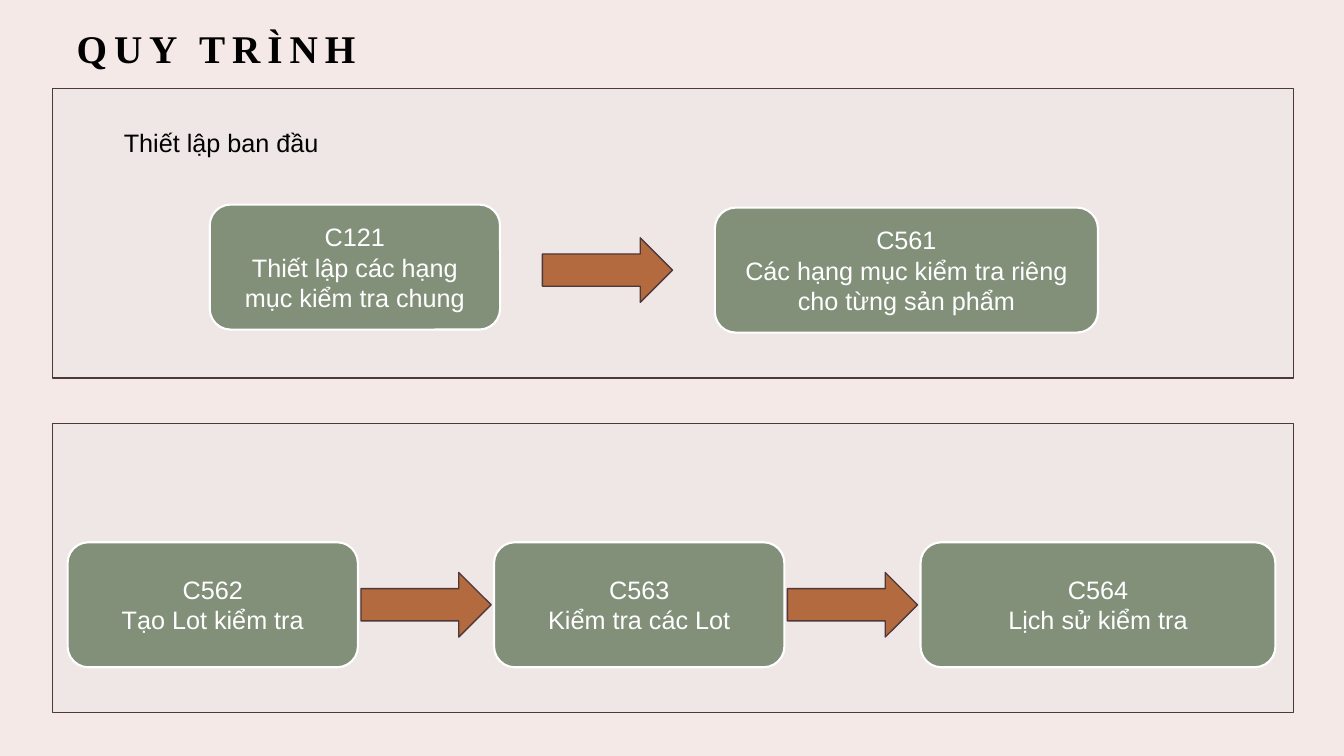
from dataclasses import dataclass

import pptx
import pptx.dml.color
import pptx.enum.shapes
import pptx.enum.text
import pptx.util
from pptx.util import Inches

HUES = {
    "page": "F4E9E6",
    "panel": "EFE6E6",
    "edge": "4E3839",
    "step": "82907A",
    "arrow": "B26A3E",
    "white": "FFFFFF",
    "black": "000000",
}
KINDS = pptx.enum.shapes.MSO_SHAPE
ALIGN = pptx.enum.text.PP_ALIGN
ANCHOR = pptx.enum.text.MSO_ANCHOR
SIZING = pptx.enum.text.MSO_AUTO_SIZE


@dataclass
class Step:
    left: float
    top: float
    width: float
    code: str
    label: str


STEPS = [
    Step(2.08, 2.03, 2.88, "C121", "Thiết lập các hạng mục kiểm tra chung"),
    Step(7.09, 2.06, 3.8, "C561", "Các hạng mục kiểm tra riêng cho từng sản phẩm"),
    Step(0.67, 5.38, 2.88, "C562", "Tạo Lot kiểm tra"),
    Step(4.9, 5.38, 2.88, "C563", "Kiểm tra các Lot"),
    Step(9.13, 5.38, 3.52, "C564", "Lịch sử kiểm tra"),
]
PANELS = [0.88, 4.2]
ARROWS = [(5.38, 2.36), (3.58, 5.68), (7.81, 5.68)]


def tint(name: str) -> pptx.dml.color.RGBColor:
    return pptx.dml.color.RGBColor.from_string(HUES[name])


def style(para, face: str, size: float, hue: str, bold: bool = False) -> None:
    para.font.name = face
    para.font.size = pptx.util.Pt(size)
    para.font.bold = bold
    para.font.color.rgb = tint(hue)


def add_block(slide, kind, left: float, top: float, width: float, height: float,
              fill: str, edge: str, weight: float):
    block = slide.shapes.add_shape(
        kind, Inches(left), Inches(top), Inches(width), Inches(height))
    block.shadow.inherit = False
    block.fill.solid()
    block.fill.fore_color.rgb = tint(fill)
    block.line.color.rgb = tint(edge)
    block.line.width = pptx.util.Pt(weight)
    return block


def add_step(slide, step: Step) -> None:
    block = add_block(slide, KINDS.ROUNDED_RECTANGLE, step.left, step.top,
                      step.width, 1.24, "step", "white", 1.5)
    frame = block.text_frame
    frame.word_wrap = True
    frame.vertical_anchor = ANCHOR.MIDDLE
    frame.text = f"{step.code}\v{step.label}"
    para = frame.paragraphs[0]
    para.alignment = ALIGN.CENTER
    style(para, "Arial", 18, "white")


def set_title(slide, text: str) -> None:
    title = slide.shapes.title
    title.left, title.top = Inches(0.66), Inches(0.07)
    title.width, title.height = Inches(12.31), Inches(0.71)
    frame = title.text_frame
    frame.text = text
    frame.word_wrap = True
    frame.auto_size = SIZING.NONE
    frame.vertical_anchor = ANCHOR.MIDDLE
    para = frame.paragraphs[0]
    para.alignment = ALIGN.LEFT
    para.line_spacing = 1.2
    style(para, "Times New Roman", 28, "black", True)
    para.runs[0]._r.get_or_add_rPr().set("spc", "500")


def add_label(slide, text: str) -> None:
    box = slide.shapes.add_textbox(
        Inches(1.13), Inches(1.21), Inches(2.88), Inches(0.4))
    frame = box.text_frame
    frame.word_wrap = True
    frame.auto_size = SIZING.SHAPE_TO_FIT_TEXT
    frame.text = text
    style(frame.paragraphs[0], "Arial", 18, "black")


def main() -> None:
    deck = pptx.Presentation()
    deck.slide_width, deck.slide_height = Inches(13.33), Inches(7.5)
    slide = deck.slides.add_slide(deck.slide_layouts[5])
    slide.background.fill.solid()
    slide.background.fill.fore_color.rgb = tint("page")
    set_title(slide, "QUY TRÌNH")
    for top in PANELS:
        add_block(slide, KINDS.RECTANGLE, 0.52, top, 12.31, 2.87,
                  "panel", "edge", 1)
    add_label(slide, "Thiết lập ban đầu")
    for step in STEPS:
        add_step(slide, step)
    for left, top in ARROWS:
        add_block(slide, KINDS.RIGHT_ARROW, left, top, 1.29, 0.64,
                  "arrow", "edge", 1)
    deck.save("out.pptx")


if __name__ == "__main__":
    main()
